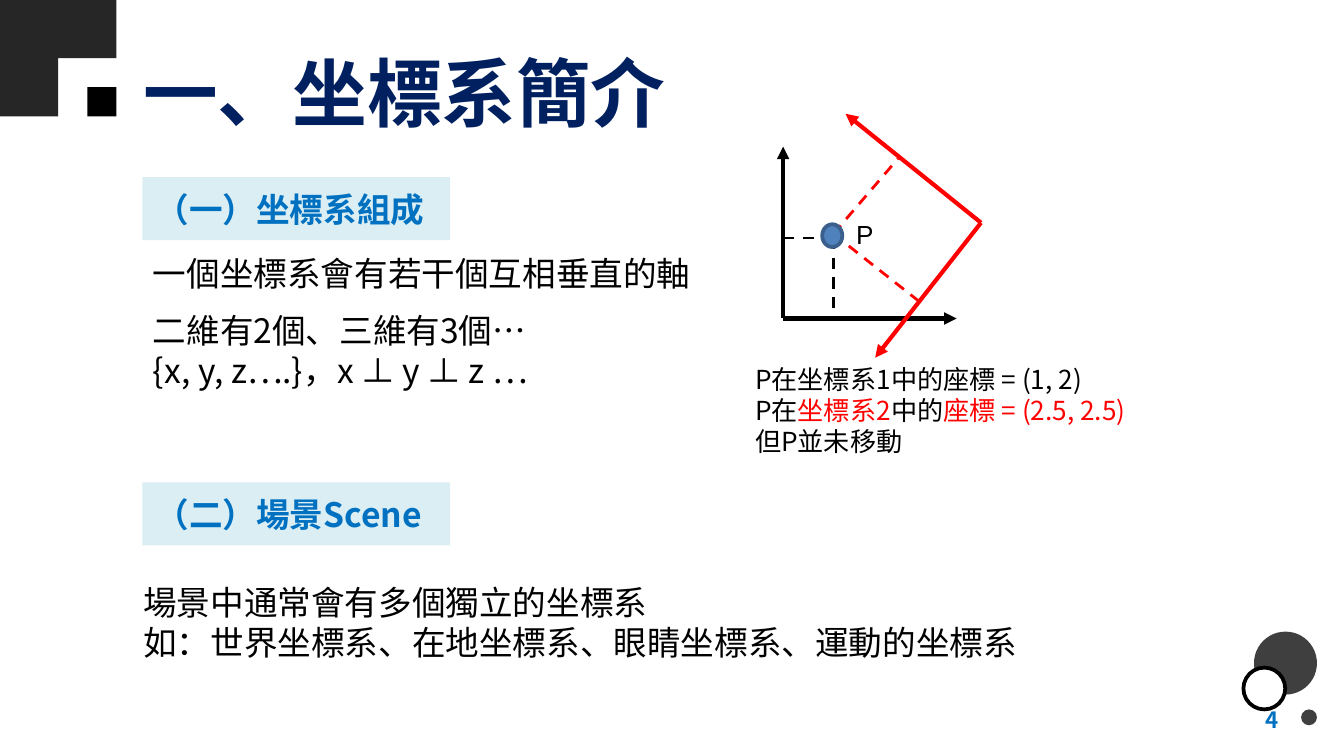
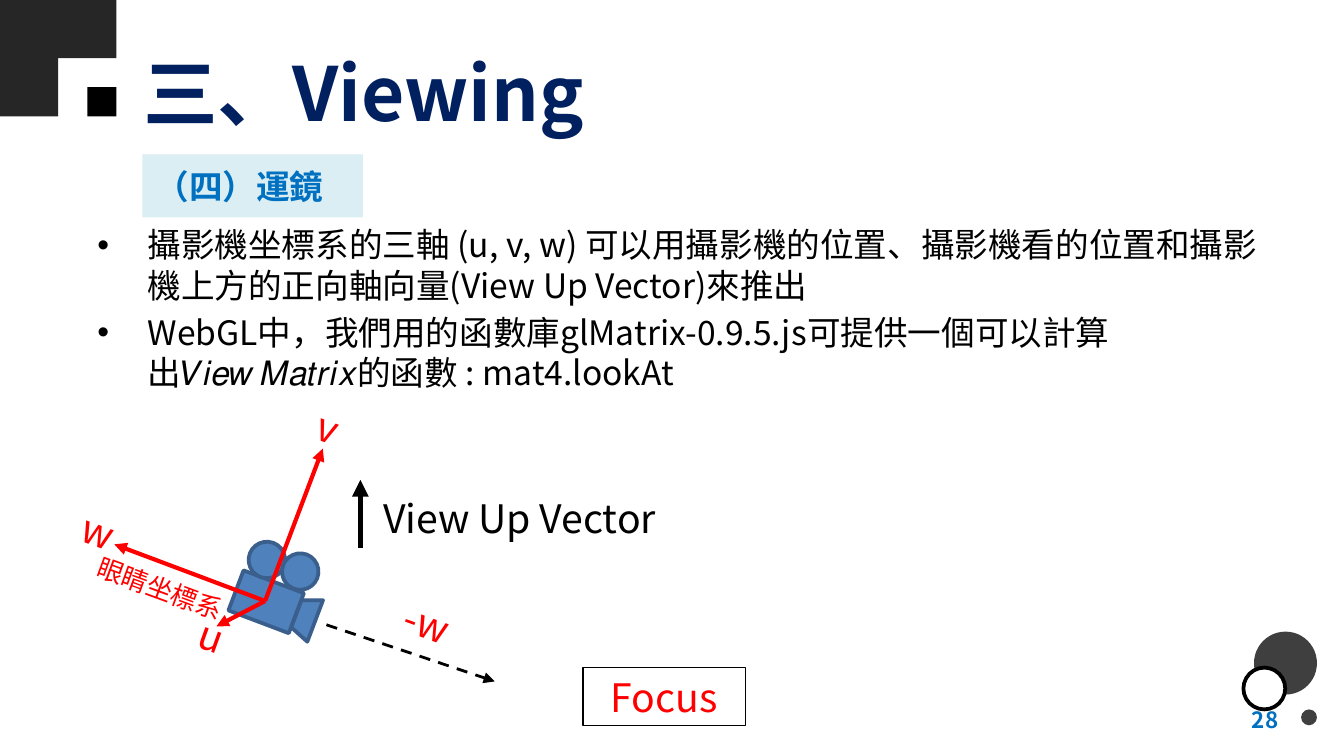
from pptx import Presentation
from pptx.dml.color import RGBColor
from pptx.enum.dml import MSO_LINE_DASH_STYLE as Dash
from pptx.enum.shapes import MSO_CONNECTOR as Link, MSO_SHAPE as Kind
from pptx.enum.text import MSO_ANCHOR as Anchor, PP_ALIGN as Align
from pptx.oxml.ns import qn
from pptx.util import Cm, Pt
from lxml.etree import SubElement

BLACK, WHITE, RED = "000000", "FFFFFF", "FF0000"
NAVY, BLUE, PALE = "002060", "0070C0", "DAEEF3"
DARK, GREY, STEEL, EDGE = "262626", "3F3F3F", "4F81BD", "3A5F8C"
FONT, SANS = "Noto Sans CJK TC", "Noto Sans CJK SC"
WIDE = {"margin_left": Cm(0.25), "margin_right": Cm(0.25),
        "margin_top": Cm(0.13), "margin_bottom": Cm(0.13)}
SLIM = {"margin_left": Cm(0.18), "margin_right": Cm(0.18),
        "margin_top": Cm(0.1), "margin_bottom": Cm(0.1)}


def color(code):
    """Turn a hex string into a colour."""
    return RGBColor.from_string(code)


def apply(target, values):
    """Set each value of a dict on the target."""
    for key, value in values.items():
        setattr(target, key, value)


def shift(box, spot):
    """Move a spot or box by the corner of a region."""
    return (box[0] + spot[0], box[1] + spot[1], *spot[2:])


def write(shape, lines, size, hue=BLACK, font=FONT, bold=False,
          frame=WIDE, anchor=Anchor.TOP, align=Align.LEFT, bullet=False):
    """Fill a shape with paragraphs, each a string or a list of (text, colour) runs."""
    area = shape.text_frame
    apply(area, {"word_wrap": True, "vertical_anchor": anchor, **frame})
    for row, line in enumerate(lines):
        para = area.paragraphs[0] if row == 0 else area.add_paragraph()
        para.alignment = align
        if bullet:
            mark(para, row)
        for text, tone in [(line, hue)] if isinstance(line, str) else line:
            run = para.add_run()
            run.text = text
            run.font.color.rgb = color(tone)
            apply(run.font, {"size": Pt(size), "bold": bold, "name": font})
            SubElement(run._r.get_or_add_rPr(), qn("a:ea"), typeface=font)


def mark(para, row):
    """Give a paragraph a hanging black bullet."""
    props = para._p.get_or_add_pPr()
    props.set("marL", str(Cm(1.27)))
    props.set("indent", str(Cm(-0.95)))
    if row:
        para.space_before = Pt(3.6)
    tint = SubElement(props, qn("a:buClr"))
    SubElement(tint, qn("a:srgbClr"), val=BLACK)
    SubElement(props, qn("a:buFont"), typeface="Arial")
    SubElement(props, qn("a:buChar"), char="•")


def label(shapes, box, lines, size, turn=0, **style):
    """Add a text box."""
    shape = shapes.add_textbox(*map(Cm, box))
    shape.rotation = turn
    write(shape, lines, size, **style)


def block(shapes, kind, box, fill, line=None, width=2, turn=0):
    """Add a filled preset shape."""
    shape = shapes.add_shape(kind, *map(Cm, box))
    shape.shadow.inherit = False
    shape.rotation = turn
    shape.fill.solid()
    shape.fill.fore_color.rgb = color(fill)
    if line:
        shape.line.color.rgb = color(line)
        shape.line.width = Pt(width)
    else:
        shape.line.fill.background()
    return shape


def draw(shapes, start, end, hue, width=2.25, dash=False, arrow=True):
    """Add a straight line, dashed or with an arrowhead at its end."""
    wire = shapes.add_connector(Link.STRAIGHT, *map(Cm, start + end))
    wire.line.color.rgb = color(hue)
    wire.line.width = Pt(width)
    if dash:
        wire.line.dash_style = Dash.DASH
    if arrow:
        SubElement(wire.line._get_or_add_ln(), qn("a:tailEnd"), type="triangle")
    SubElement(wire._element.spPr, qn("a:effectLst"))


def corner(shapes, side):
    """Draw the stepped squares in the top left corner."""
    for col, row in ((0, 0), (1, 0), (0, 1)):
        block(shapes, Kind.RECTANGLE, (col * side, row * side, side, side), DARK)
    block(shapes, Kind.RECTANGLE, (side * 1.5, side * 1.5, side / 2, side / 2), BLACK)


def dots(shapes, box):
    """Draw the three circles in the bottom right corner."""
    for x, y, size, fill, line in ((0.2, 0, 1.19, GREY, None),
                                   (1.09, 1.47, 0.3, GREY, None),
                                   (0, 0.68, 0.79, WHITE, BLACK)):
        block(shapes, Kind.OVAL, shift(box, (x, y, size, size)), fill, line)


def begin(deck, title, number):
    """Start a slide with its title, corner, circles and number."""
    slide = deck.slides.add_slide(deck.slide_layouts[5])
    head = slide.shapes.title
    apply(head, {"left": Cm(2.46), "top": Cm(0.53),
                 "width": Cm(11.84), "height": Cm(2.39)})
    write(head, [title], 40, NAVY, bold=True, anchor=Anchor.MIDDLE)
    corner(slide.shapes.add_group_shape().shapes, 1.1)
    dots(slide.shapes.add_group_shape().shapes, (23.5, 11.94))
    label(slide.shapes, (18.49, 13.23, 5.92, 0.76), [number], 12, hue=BLUE,
          bold=True, anchor=Anchor.MIDDLE, align=Align.RIGHT)
    return slide.shapes


def tag(shapes, top, width, text):
    """Add a pale section heading."""
    shape = block(shapes, Kind.RECTANGLE, (2.69, top, width, 1.19), PALE)
    write(shape, [text], 18, BLUE, bold=True, anchor=Anchor.MIDDLE)


def axes(shapes, box):
    """Draw point P in a black and a red coordinate system."""
    zero, turn = shift(box, (0, 3.87)), shift(box, (3.74, 2.06))
    for start, end, hue in ((zero, (0, 0.62), BLACK), (zero, (3.28, 3.87), BLACK),
                            (turn, (1.74, 4.61), RED), (turn, (1.18, 0), RED)):
        draw(shapes, start, shift(box, end), hue)
    for start, end, hue in (((0.95, 2.27), (2.6, 3.57), RED),
                            ((0.95, 2.27), (2.17, 0.85), RED),
                            ((0.95, 2.35), (0.95, 3.87), BLACK),
                            ((0.95, 2.35), (0, 2.35), BLACK)):
        draw(shapes, shift(box, start), shift(box, end), hue, 1.5, True, False)
    block(shapes, Kind.OVAL, shift(box, (0.74, 2.09, 0.38, 0.43)), STEEL, EDGE)
    label(shapes, shift(box, (1.13, 1.84, 1.37, 0.81)), ["P"], 14, font="Arial")


def camera(shapes, box):
    """Draw the camera with its axes, up vector and focus."""
    for kind, spot, turn in ((Kind.RECTANGLE, (3.05, 3.35, 1.22, 0.81), 20.7),
                             (Kind.TRAPEZOID, (3.99, 3.86, 0.84, 0.38), 290.7),
                             (Kind.OVAL, (3.33, 2.62, 0.69, 0.69), 20.7),
                             (Kind.OVAL, (3.96, 2.84, 0.69, 0.69), 20.7)):
        part = block(shapes, kind, shift(box, spot), STEEL, EDGE, turn=turn)
        if kind == Kind.TRAPEZOID:
            part.adjustments[0] = 0.388
    draw(shapes, shift(box, (4.8, 4.19)), shift(box, (7.98, 5.26)), BLACK, 1.5, True)
    for end in ((0.79, 2.67), (4.73, 0.86), (2.72, 4.22)):
        draw(shapes, shift(box, (3.64, 3.74)), shift(box, end), RED)
    style = {"font": SANS, "frame": SLIM}
    label(shapes, shift(box, (0.15, 3.61, 5.82, 0.79)), ["眼睛坐標系"], 14, 20.1,
          hue=RED, **style)
    for name, x, y in (("u", 2.21, 3.94), ("v", 4.45, 0),
                       ("w", 0, 1.93), ("-w", 6.1, 3.63)):
        label(shapes, shift(box, (x, y, 1.3, 1.09)), [name], 21, 19.9,
              hue=RED, **style)
    focus = block(shapes, Kind.RECTANGLE, shift(box, (9.65, 5, 3.07, 1.09)),
                  WHITE, BLACK, 0.75)
    write(focus, ["Focus"], 21, RED, align=Align.CENTER, **style)
    draw(shapes, shift(box, (5.44, 2.74)), shift(box, (5.44, 1.45)), BLACK, 3)
    label(shapes, shift(box, (5.69, 1.63, 7.19, 1.09)), ["View Up Vector"], 21, **style)


def intro(deck):
    """Build the slide on coordinate systems."""
    shapes = begin(deck, "一、坐標系簡介", "4")
    tag(shapes, 3.35, 5.82, "（一）坐標系組成")
    label(shapes, (2.64, 4.65, 12.7, 1.02), ["一個坐標系會有若干個互相垂直的軸"], 18)
    label(shapes, (2.64, 5.72, 12.7, 1.8),
          ["二維有2個、三維有3個…", "{x, y, z….}，x ⊥ y ⊥ z …"], 18)
    label(shapes, (14.02, 6.73, 8.61, 2.06),
          ["P在坐標系1中的座標 = (1, 2)",
           [("P在", BLACK), ("坐標系2", RED), ("中的", BLACK),
            ("座標 = (2.5, 2.5)", RED)],
           "但P並未移動"], 14)
    tag(shapes, 9.12, 5.82, "（二）場景Scene")
    label(shapes, (2.46, 10.87, 18.95, 1.8),
          ["場景中通常會有多個獨立的坐標系",
           "如：世界坐標系、在地坐標系、眼睛坐標系、運動的坐標系"], 18)
    axes(shapes.add_group_shape().shapes, (14.8, 2.15))


def view(deck):
    """Build the slide on camera movement."""
    shapes = begin(deck, "三、Viewing", "28")
    tag(shapes, 2.92, 4.17, "（四）運鏡")
    label(shapes, (1.27, 4.11, 22.86, 3.86),
          ["攝影機坐標系的三軸 (u, v, w) 可以用攝影機的位置、攝影機看的位置和"
           "攝影機上方的正向軸向量(View Up Vector)來推出",
           "WebGL中，我們用的函數庫glMatrix-0.9.5.js可提供一個可以計算出"
           "𝑉𝑖𝑒𝑤 𝑀𝑎𝑡𝑟𝑖𝑥的函數 : mat4.lookAt"], 18, bullet=True)
    camera(shapes.add_group_shape().shapes, (1.37, 7.62))


def main():
    """Build and save the deck."""
    deck = Presentation()
    apply(deck, {"slide_width": Cm(25.4), "slide_height": Cm(14.29)})
    intro(deck)
    view(deck)
    deck.save("out.pptx")


if __name__ == "__main__":
    main()
